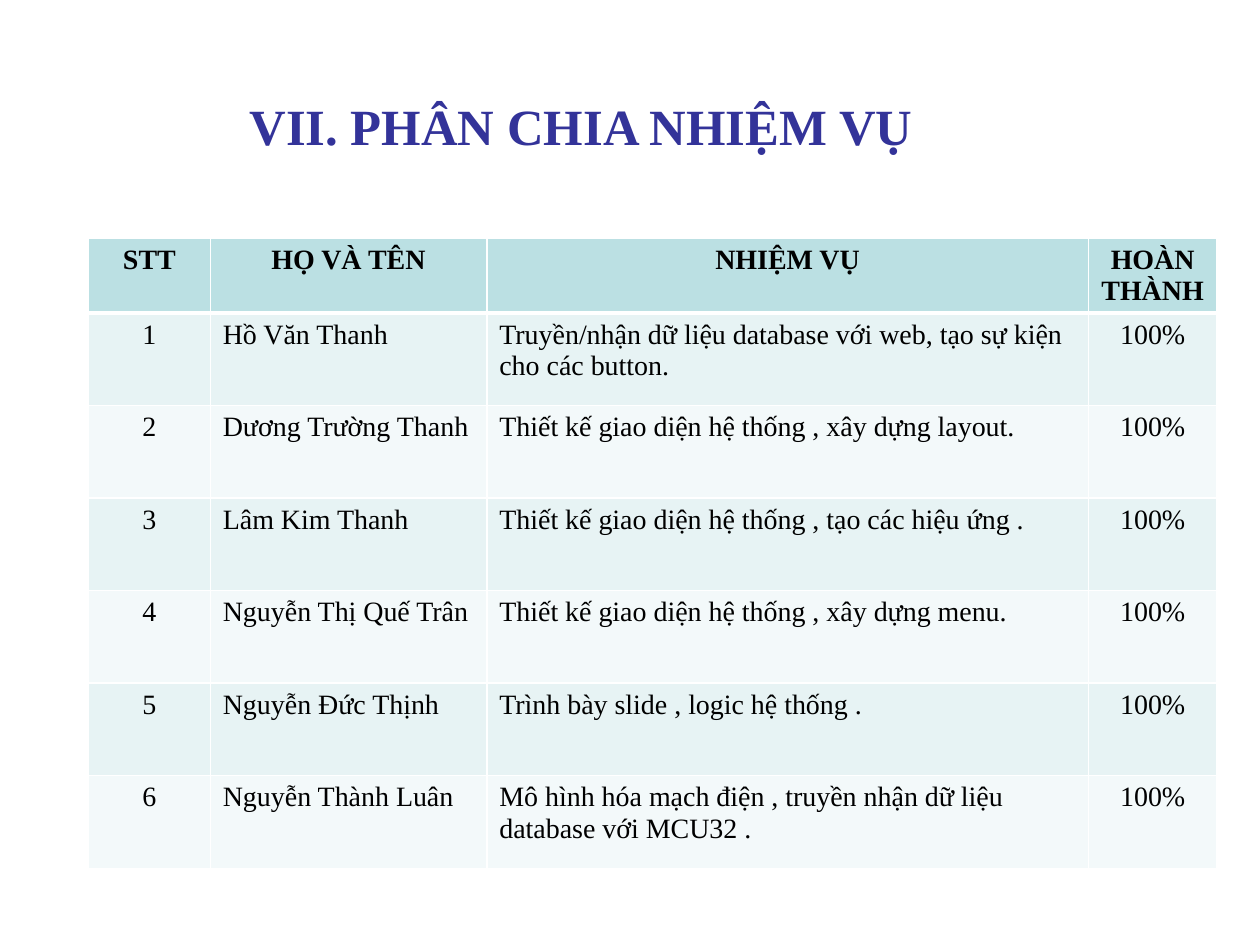
from lxml import etree
from pptx import Presentation
from pptx.dml.color import RGBColor
from pptx.enum.text import MSO_AUTO_SIZE, PP_ALIGN
from pptx.oxml.ns import qn
from pptx.util import Pt

CENTER, LEFT = PP_ALIGN.CENTER, PP_ALIGN.LEFT
SHAPE_TO_FIT = MSO_AUTO_SIZE.SHAPE_TO_FIT_TEXT
FONT = "Times New Roman"
WHITE = RGBColor(0xFF, 0xFF, 0xFF)
BLACK = RGBColor(0x00, 0x00, 0x00)
NAVY = RGBColor(0x33, 0x33, 0x99)
HEADER_FILL = RGBColor(0xBB, 0xE0, 0xE3)
ODD_FILL = RGBColor(0xE7, 0xF3, 0xF4)
EVEN_FILL = RGBColor(0xF3, 0xF9, 0xFA)

HEADERS = ["STT", "HỌ VÀ TÊN", "NHIỆM VỤ", "HOÀN THÀNH"]
MEMBERS = [
    ("Hồ Văn Thanh", "Truyền/nhận dữ liệu database với web, tạo sự kiện cho các button."),
    ("Dương Trường Thanh", "Thiết kế giao diện hệ thống , xây dựng layout."),
    ("Lâm Kim Thanh", "Thiết kế giao diện hệ thống , tạo các hiệu ứng ."),
    ("Nguyễn Thị Quế Trân", "Thiết kế giao diện hệ thống , xây dựng menu."),
    ("Nguyễn Đức Thịnh", "Trình bày slide , logic hệ thống ."),
    ("Nguyễn Thành Luân", "Mô hình hóa mạch điện , truyền nhận dữ liệu database với MCU32 ."),
]
DONE = "100%"
COLUMN_SHARES = [0.108, 0.245, 0.533, 0.114]
COLUMN_ALIGNS = [CENTER, LEFT, LEFT, CENTER]
HEADER_HEIGHT = 29.5


def style_font(font, size, color, bold):
    font.name = FONT
    font.size = Pt(size)
    font.bold = bold
    font.color.rgb = color


def set_borders(cell, bottom, top):
    tcPr = cell._tc.get_or_add_tcPr()
    widths = {"a:lnL": 1, "a:lnR": 1, "a:lnT": top, "a:lnB": bottom}
    for position, (tag, width) in enumerate(widths.items()):
        ln = etree.Element(qn(tag), w=str(Pt(width)))
        fill = etree.SubElement(ln, qn("a:solidFill"))
        etree.SubElement(fill, qn("a:srgbClr"), val=str(WHITE))
        tcPr.insert(position, ln)


def add_title(slide, left, top, width, height):
    box = slide.shapes.add_textbox(Pt(left), Pt(top), Pt(width), Pt(height))
    tf = box.text_frame
    tf.word_wrap = True
    tf.auto_size = SHAPE_TO_FIT
    tf.margin_left = tf.margin_right = tf.margin_top = tf.margin_bottom = 0
    p = tf.paragraphs[0]
    p.text = "VII. PHÂN CHIA NHIỆM VỤ"
    p.line_spacing = Pt(35.1)
    style_font(p.runs[0].font, 29, NAVY, True)


def add_task_table(slide, left, top, width, height):
    rows = [HEADERS]
    rows += [(str(i), name, task, DONE) for i, (name, task) in enumerate(MEMBERS, 1)]
    table = slide.shapes.add_table(
        len(rows), len(HEADERS), Pt(left), Pt(top), Pt(width), Pt(height)
    ).table
    for column, share in zip(table.columns, COLUMN_SHARES):
        column.width = Pt(width * share)
    body_height = (height - HEADER_HEIGHT) / len(MEMBERS)
    for i, values in enumerate(rows):
        header = i == 0
        table.rows[i].height = Pt(HEADER_HEIGHT if header else body_height)
        fill = HEADER_FILL if header else ODD_FILL if i % 2 else EVEN_FILL
        for j, value in enumerate(values):
            cell = table.cell(i, j)
            cell.fill.solid()
            cell.fill.fore_color.rgb = fill
            set_borders(cell, 3 if header else 1, 3 if i == 1 else 1)
            p = cell.text_frame.paragraphs[0]
            p.text = value
            p.alignment = CENTER if header else COLUMN_ALIGNS[j]
            style_font(p.runs[0].font, 16, BLACK, header)


def main():
    prs = Presentation()
    prs.slide_width, prs.slide_height = Pt(720), Pt(540)
    slide = prs.slides.add_slide(prs.slide_layouts[6])
    add_task_table(slide, 50.5, 136, 645, 347)
    add_title(slide, 142.5, 54, 564, 35)
    prs.save("out.pptx")


if __name__ == "__main__":
    main()
